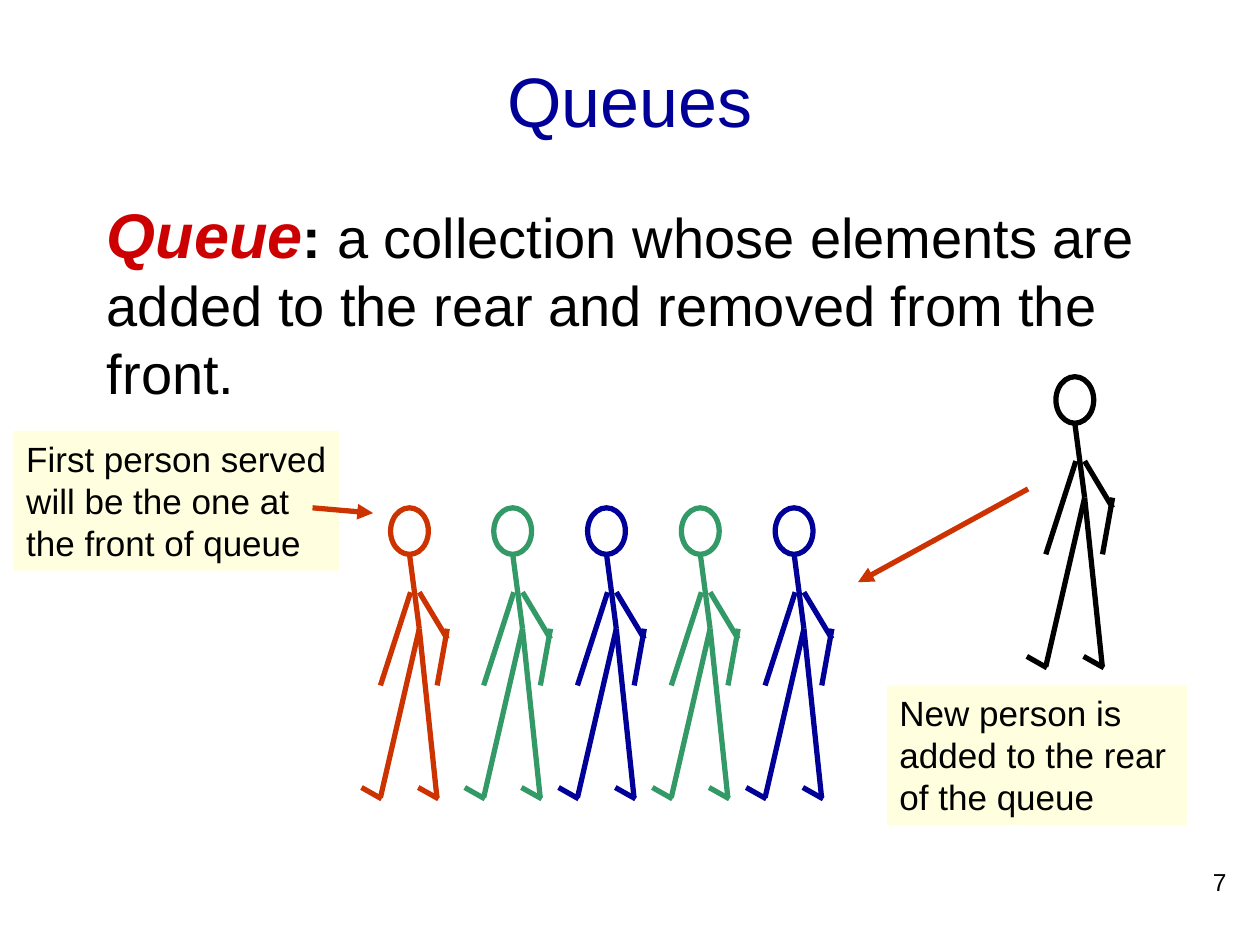
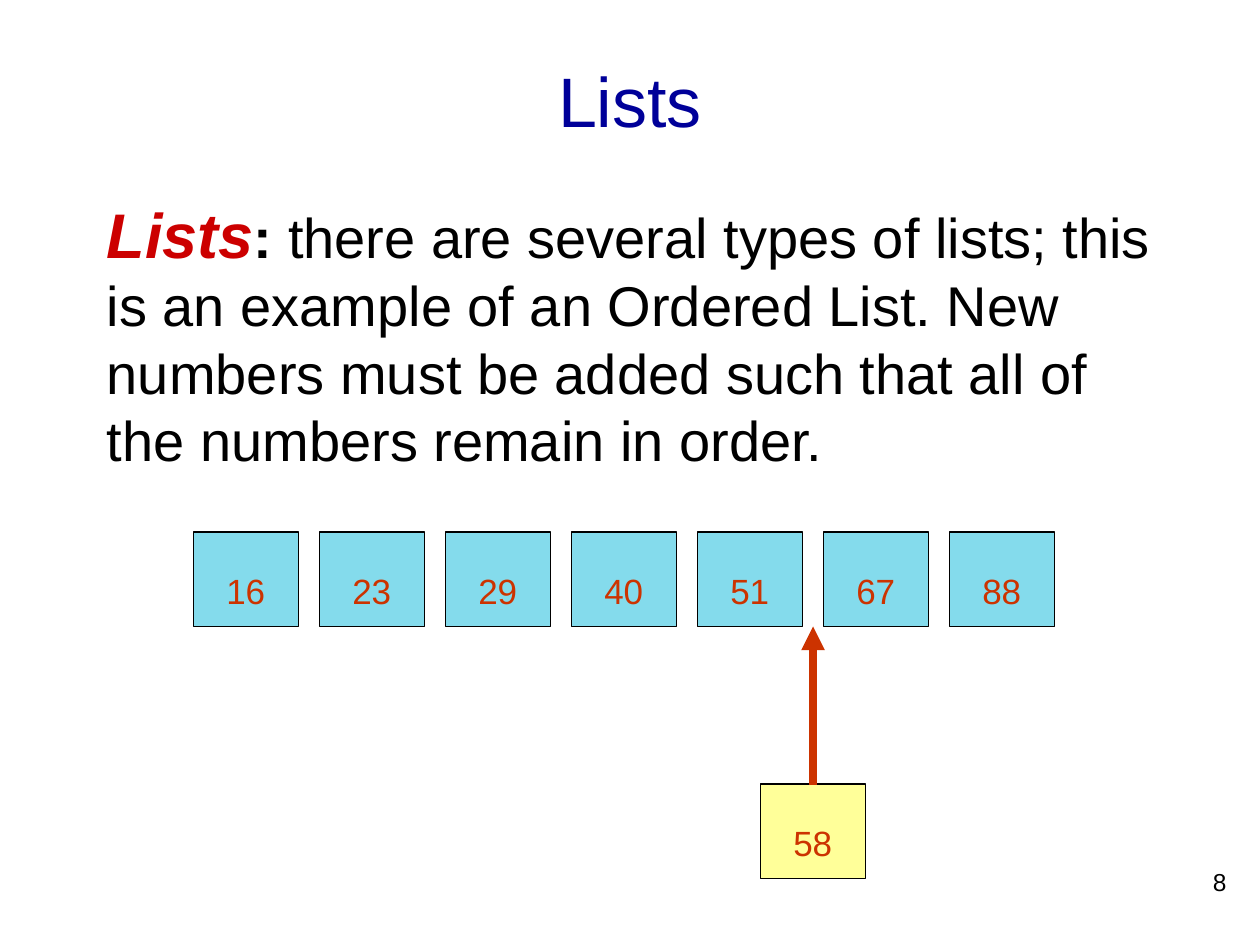
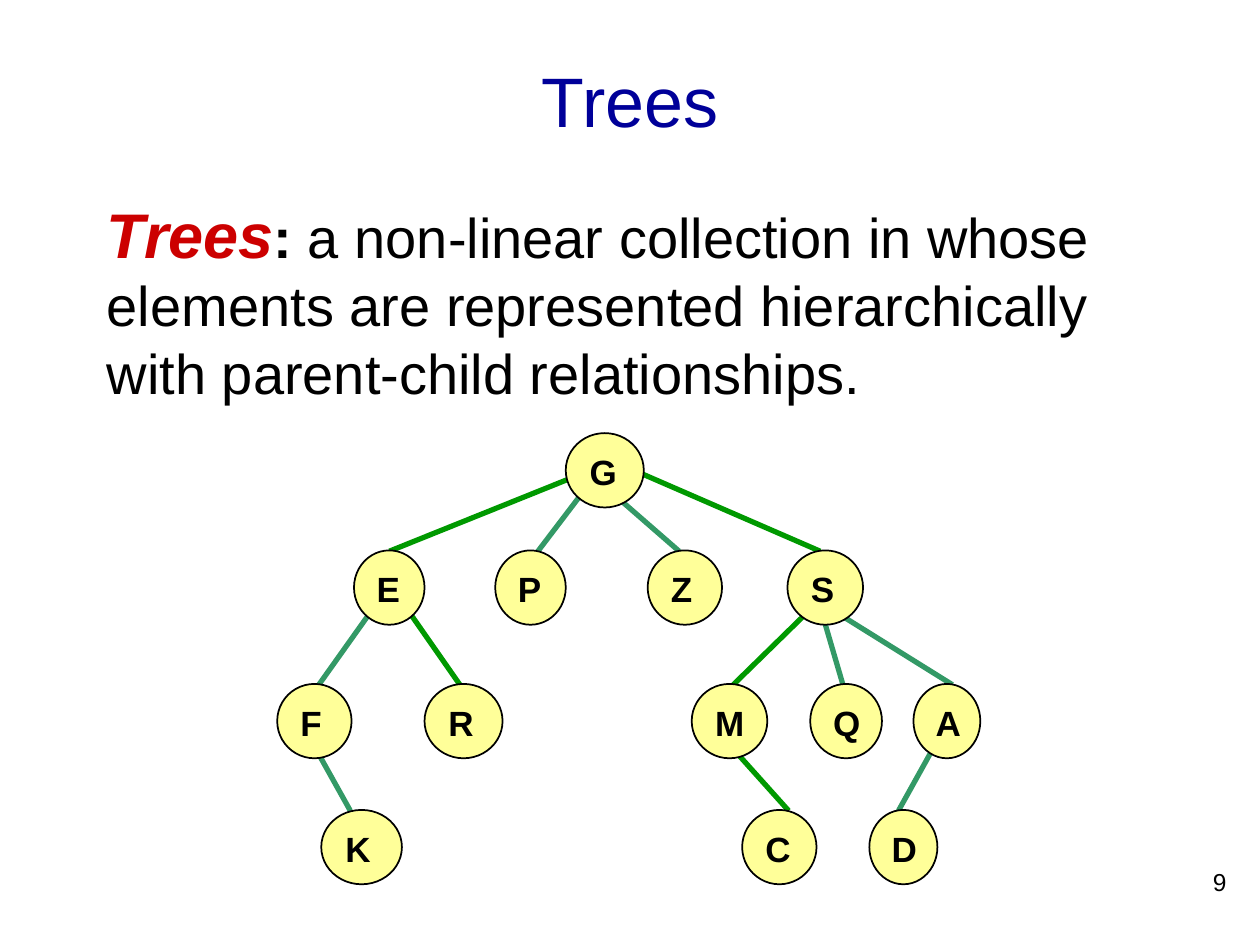
from dataclasses import dataclass

from lxml import etree
from pptx import Presentation
from pptx.dml.color import RGBColor
from pptx.enum.shapes import MSO_CONNECTOR, MSO_SHAPE
from pptx.enum.text import MSO_ANCHOR, MSO_AUTO_SIZE, PP_ALIGN
from pptx.oxml.ns import qn
from pptx.util import Pt

RECTANGLE = MSO_SHAPE.RECTANGLE
OVAL = MSO_SHAPE.OVAL
STRAIGHT = MSO_CONNECTOR.STRAIGHT
TOP = MSO_ANCHOR.TOP
MIDDLE = MSO_ANCHOR.MIDDLE
LEFT = PP_ALIGN.LEFT
CENTER = PP_ALIGN.CENTER
RIGHT = PP_ALIGN.RIGHT
FIT_SHAPE = MSO_AUTO_SIZE.SHAPE_TO_FIT_TEXT
BLANK_LAYOUT = 6


@dataclass(frozen=True)
class Theme:
    font: str = "Arial"
    black: str = "000000"
    navy: str = "000099"
    crimson: str = "CC0000"
    rust: str = "CC3300"
    teal: str = "339966"
    green: str = "009900"
    cream: str = "FFFFDF"
    yellow: str = "FFFF99"
    sky: str = "84DBEC"
    title_size: float = 40
    term_size: float = 36
    body_size: float = 32
    label_size: float = 20
    number_size: float = 14
    thin: float = 1
    stroke: float = 3
    thick: float = 4.5


@dataclass(frozen=True)
class Box:
    left: float
    top: float
    width: float
    height: float

    def lengths(self):
        return Pt(self.left), Pt(self.top), Pt(self.width), Pt(self.height)


THEME = Theme()
TITLE_BOX = Box(54, 12, 612, 90)
NUMBER_BOX = Box(558, 492, 150, 36)

HEAD_SIZE = (21.6, 26.6)
HIP = (16.4, 69.1)
LIMBS = [
    ((10.8, 26.6), HIP),
    (HIP, (-5.8, 165.6)),
    (HIP, (26.5, 165.6)),
    ((-5.1, 166.3), (-16.6, 159.8)),
    ((27.4, 166.3), (15.8, 159.8)),
    ((11.4, 48.2), (-5.8, 101.5)),
    ((16.4, 48.2), (32.4, 74.9)),
    ((32.4, 69.1), (26.6, 101.5)),
]

NODE_HEIGHT = 42.5
TREE_ROWS = [
    (0, [("G", 164.9, 44.6)]),
    (67, [("E", 43.9, 40.3), ("P", 124.6, 40.3), ("Z", 211.7, 42.5), ("S", 291.6, 43.2)]),
    (143.3, [("F", 0, 42.5), ("R", 84.2, 44.6), ("M", 236.9, 43.2),
             ("Q", 304.6, 41), ("A", 363.6, 38.2)]),
    (215.3, [("K", 25.2, 46.1), ("C", 265.7, 42.5), ("D", 338.4, 38.9)]),
]
TREE_EDGES = [
    (67, [(175.7, 32.4, 149, THEME.teal), (189.4, 32.4, 229.7, THEME.teal),
          (169.2, 25.2, 64.1, THEME.green), (203, 20.9, 310.3, THEME.green)]),
    (143.3, [(55.4, 99.4, 23.8, THEME.teal), (73.4, 99.4, 104.4, THEME.green),
             (306, 99.4, 260.6, THEME.green), (314.6, 99.4, 385.9, THEME.teal),
             (310.3, 99.4, 323.3, THEME.teal)]),
    (215.3, [(19.4, 175.7, 41.8, THEME.teal), (256.3, 175.7, 292.3, THEME.green),
             (377.3, 175.7, 355, THEME.teal)]),
]


def style_font(font, size, color, bold=False, italic=False):
    font.name = THEME.font
    font.size = Pt(size)
    font.color.rgb = RGBColor.from_string(color)
    font.bold = bold
    font.italic = italic


def write_text(shape, text, size, color, align=LEFT, anchor=TOP, bold=False, space=0):
    frame = shape.text_frame
    frame.word_wrap = True
    frame.vertical_anchor = anchor
    frame.text = text
    paragraph = frame.paragraphs[0]
    paragraph.alignment = align
    paragraph.space_before = Pt(space)
    style_font(paragraph.font, size, color, bold)
    return frame


def add_text(shapes, box, text, size, color, **options):
    return write_text(shapes.add_textbox(*box.lengths()), text, size, color, **options)


def add_outline(shapes, kind, box, fill=None, line=None, width=THEME.thin):
    shape = shapes.add_shape(kind, *box.lengths())
    shape.shadow.inherit = False
    if fill:
        shape.fill.solid()
        shape.fill.fore_color.rgb = RGBColor.from_string(fill)
    else:
        shape.fill.background()
    if line:
        shape.line.color.rgb = RGBColor.from_string(line)
        shape.line.width = Pt(width)
    else:
        shape.line.fill.background()
    return shape


def add_line(shapes, start, end, color, width=THEME.stroke, arrow=False):
    connector = shapes.add_connector(STRAIGHT, *map(Pt, start + end))
    connector.line.color.rgb = RGBColor.from_string(color)
    connector.line.width = Pt(width)
    properties = connector.element.spPr
    if arrow:
        etree.SubElement(properties.find(qn("a:ln")), qn("a:tailEnd"), type="triangle")
    etree.SubElement(properties, qn("a:effectLst"))


def add_base_slide(presentation, title, number):
    slide = presentation.slides.add_slide(presentation.slide_layouts[BLANK_LAYOUT])
    add_text(slide.shapes, NUMBER_BOX, str(number), THEME.number_size, THEME.black, align=RIGHT)
    add_text(slide.shapes, TITLE_BOX, title, THEME.title_size, THEME.navy,
             align=CENTER, anchor=MIDDLE)
    return slide


def add_definition(slide, box, term, meaning):
    frame = slide.shapes.add_textbox(*box.lengths()).text_frame
    frame.word_wrap = True
    paragraph = frame.paragraphs[0]
    paragraph.space_before = Pt(7.2)
    for text, size, color, bold, italic in [
        (term, THEME.term_size, THEME.crimson, True, True),
        (":", THEME.body_size, THEME.black, True, False),
        (" " + meaning, THEME.body_size, THEME.black, False, False),
    ]:
        run = paragraph.add_run()
        run.text = text
        style_font(run.font, size, color, bold, italic)


def add_person(slide, left, top, color):
    person = slide.shapes.add_group_shape().shapes
    add_outline(person, OVAL, Box(left, top, *HEAD_SIZE), line=color, width=THEME.stroke)
    for start, end in LIMBS:
        add_line(person, (left + start[0], top + start[1]), (left + end[0], top + end[1]), color)


def add_note(slide, box, text):
    note = add_outline(slide.shapes, RECTANGLE, box, fill=THEME.cream)
    write_text(note, text, THEME.label_size, THEME.black, space=12.5).auto_size = FIT_SHAPE


def add_number_cell(slide, box, value, fill):
    add_outline(slide.shapes, RECTANGLE, box, fill=fill, line=THEME.black)
    label_box = Box(box.left + 11.6, box.top + 18, 48, 31.6)
    frame = add_text(slide.shapes, label_box, str(value), THEME.label_size, THEME.rust, space=12.5)
    frame.auto_size = FIT_SHAPE


def add_tree(slide, box):
    tree = slide.shapes.add_group_shape().shapes
    for child_top, edges in TREE_EDGES:
        for start_left, start_top, end_left, color in edges:
            add_line(tree, (box.left + start_left, box.top + start_top),
                     (box.left + end_left, box.top + child_top + 0.5), color)
    for row_top, nodes in TREE_ROWS:
        for letter, left, width in nodes:
            node_box = Box(box.left + left, box.top + row_top, width, NODE_HEIGHT)
            node = add_outline(tree, OVAL, node_box, THEME.yellow, THEME.black)
            frame = write_text(node, letter, THEME.label_size, THEME.black, bold=True)
            frame.auto_size = FIT_SHAPE


def add_queue(slide, box):
    add_person(slide, box.left, box.top, THEME.rust)
    for index, color in enumerate([THEME.teal, THEME.navy] * 2):
        add_person(slide, box.left + 59 + 53.6 * index, box.top, color)
    add_person(slide, box.left + 380.2, box.top - 74.9, THEME.black)
    add_note(slide, Box(box.left - 215.3, box.top - 44, 185.8, 80),
             "First person served will be the one at the front of queue")
    add_line(slide.shapes, (box.left - 44.6, box.top), (box.left - 10, box.top + 3),
             THEME.rust, arrow=True)
    add_line(slide.shapes, (box.left + 364.3, box.top - 10.8), (box.left + 267.1, box.top + 42.5),
             THEME.rust, arrow=True)
    add_note(slide, Box(box.left + 283.7, box.top + 101.5, 171.4, 80),
             "New person is added to the rear of the queue")


def add_ordered_list(slide, box, values, inserted):
    pitch, cell_width, cell_height = 72, 60, 54
    for index, value in enumerate(values):
        cell = Box(box.left + pitch * index, box.top, cell_width, cell_height)
        add_number_cell(slide, cell, value, THEME.sky)
    position = sum(value < inserted for value in values)
    inserted_left = box.left + pitch * (position - 0.5)
    inserted_top = box.top + box.height - cell_height
    add_number_cell(slide, Box(inserted_left, inserted_top, cell_width, cell_height),
                    inserted, THEME.yellow)
    middle = inserted_left + cell_width / 2
    add_line(slide.shapes, (middle, inserted_top + 0.5), (middle, box.top + cell_height),
             THEME.rust, THEME.thick, arrow=True)


def main():
    presentation = Presentation()
    presentation.slide_width = Pt(720)
    presentation.slide_height = Pt(540)

    queues = add_base_slide(presentation, "Queues", 7)
    add_queue(queues, Box(223.2, 290.2, 241, 167))
    add_definition(queues, Box(54, 108, 612, 132), "Queue",
                   "a collection whose elements are added to the rear and removed from the front.")

    lists = add_base_slide(presentation, "Lists", 8)
    add_ordered_list(lists, Box(110.6, 304, 492, 198), [16, 23, 29, 40, 51, 67, 88], 58)
    add_definition(lists, Box(54, 108, 612, 162.5), "Lists",
                   "there are several types of lists; this is an example of an Ordered List. "
                   "New numbers must be added such that all of the numbers remain in order.")

    trees = add_base_slide(presentation, "Trees", 9)
    add_tree(trees, Box(158.4, 247.5, 402, 258))
    add_definition(trees, Box(54, 108, 612, 162.5), "Trees",
                   "a non-linear collection in whose elements are represented hierarchically "
                   "with parent-child relationships.")

    presentation.save("out.pptx")


if __name__ == "__main__":
    main()
